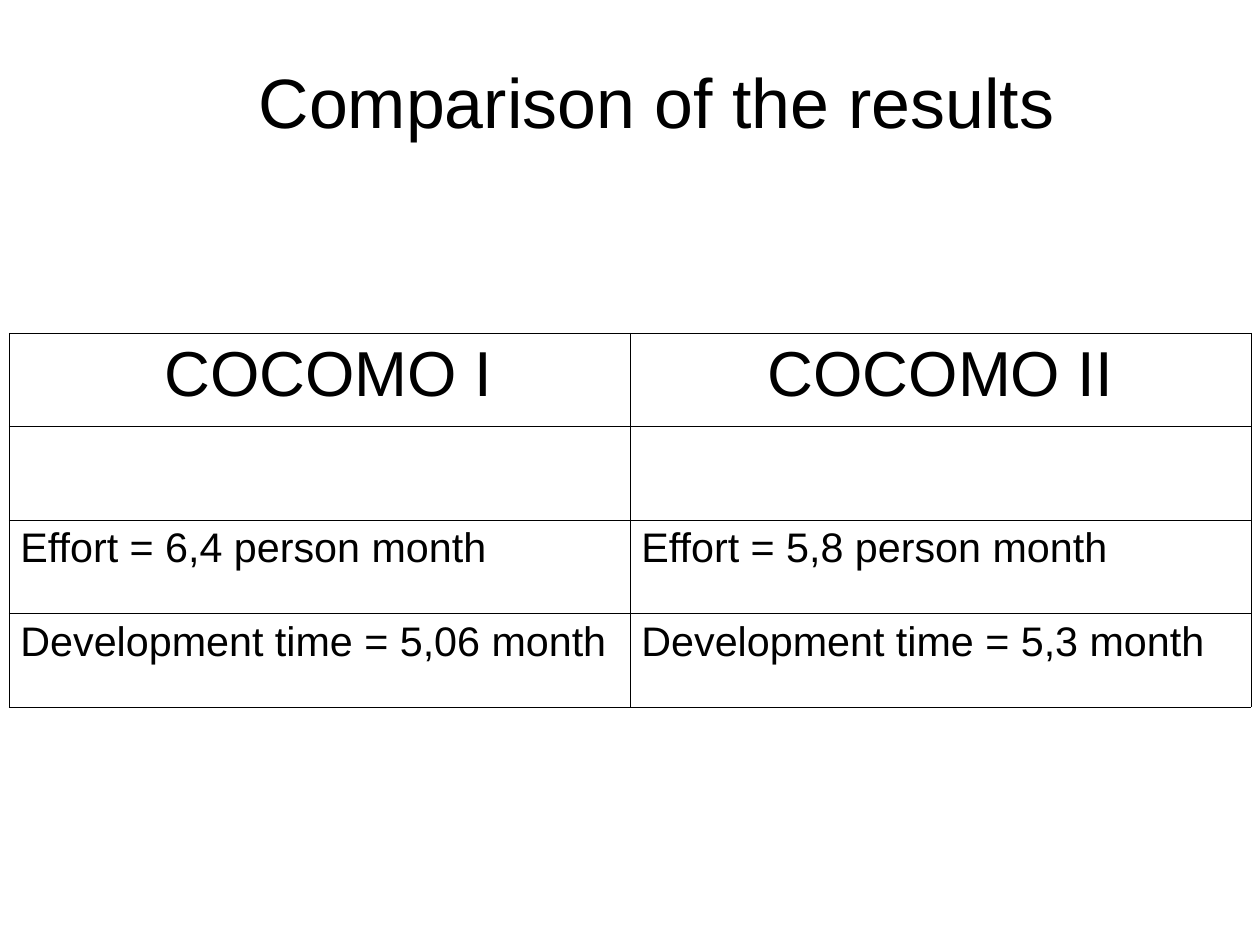
import pptx
import pptx.util
import pptx.dml.color
import pptx.enum.text
import pptx.oxml
import pptx.oxml.ns

TITLE = "Comparison of the results"
ROWS = [
    (" COCOMO I", "COCOMO II"),
    ("", ""),
    ("Effort = 6,4 person month", "Effort = 5,8 person month"),
    ("Development time = 5,06 month", "Development time = 5,3 month"),
]
TITLE_BOX = (90, 22, 1134, 158)
TABLE_BOX = (9, 333, 1242, 374)
SLIDE_SIZE = (1260, 945)
FONT = "Arial"
TITLE_PT, HEADER_PT, BODY_PT = 44, 40, 26
BORDER_PT = 0.06
BLACK = pptx.dml.color.RGBColor(0, 0, 0)
WHITE = pptx.dml.color.RGBColor(255, 255, 255)
CENTER = pptx.enum.text.PP_ALIGN.CENTER
LEFT = pptx.enum.text.PP_ALIGN.LEFT
EMU_PER_PX = 914400 / 114.3


def px(n):
    return round(n * EMU_PER_PX)


def write(tf, text, size, align):
    tf.text = text
    p = tf.paragraphs[0]
    p.alignment = align
    for r in p.runs:
        r.font.name = FONT
        r.font.size = pptx.util.Pt(size)
        r.font.bold = False
        r.font.color.rgb = BLACK


def add_borders(cell):
    tcPr = cell._tc.get_or_add_tcPr()
    for i, side in enumerate("LRTB"):
        ln = pptx.oxml.parse_xml(
            f'<a:ln{side} {pptx.oxml.ns.nsdecls("a")} w="{pptx.util.Pt(BORDER_PT)}">'
            f'<a:solidFill><a:srgbClr val="{BLACK}"/></a:solidFill></a:ln{side}>')
        tcPr.insert(i, ln)


prs = pptx.Presentation()
prs.slide_width, prs.slide_height = map(px, SLIDE_SIZE)
s = prs.slides.add_slide(prs.slide_layouts.get_by_name("Title Only"))

title = s.shapes.title
title.left, title.top, title.width, title.height = map(px, TITLE_BOX)
tf = title.text_frame
tf.margin_left = tf.margin_right = tf.margin_top = tf.margin_bottom = 0
tf.vertical_anchor = pptx.enum.text.MSO_ANCHOR.MIDDLE
write(tf, TITLE, TITLE_PT, CENTER)

table = s.shapes.add_table(len(ROWS), len(ROWS[0]), *map(px, TABLE_BOX)).table
table.first_row = table.horz_banding = False
for i, row in enumerate(ROWS):
    size, align = (HEADER_PT, CENTER) if i == 0 else (BODY_PT, LEFT)
    for j, text in enumerate(row):
        cell = table.cell(i, j)
        cell.fill.solid()
        cell.fill.fore_color.rgb = WHITE
        add_borders(cell)
        write(cell.text_frame, text, size, align)

prs.save("out.pptx")
